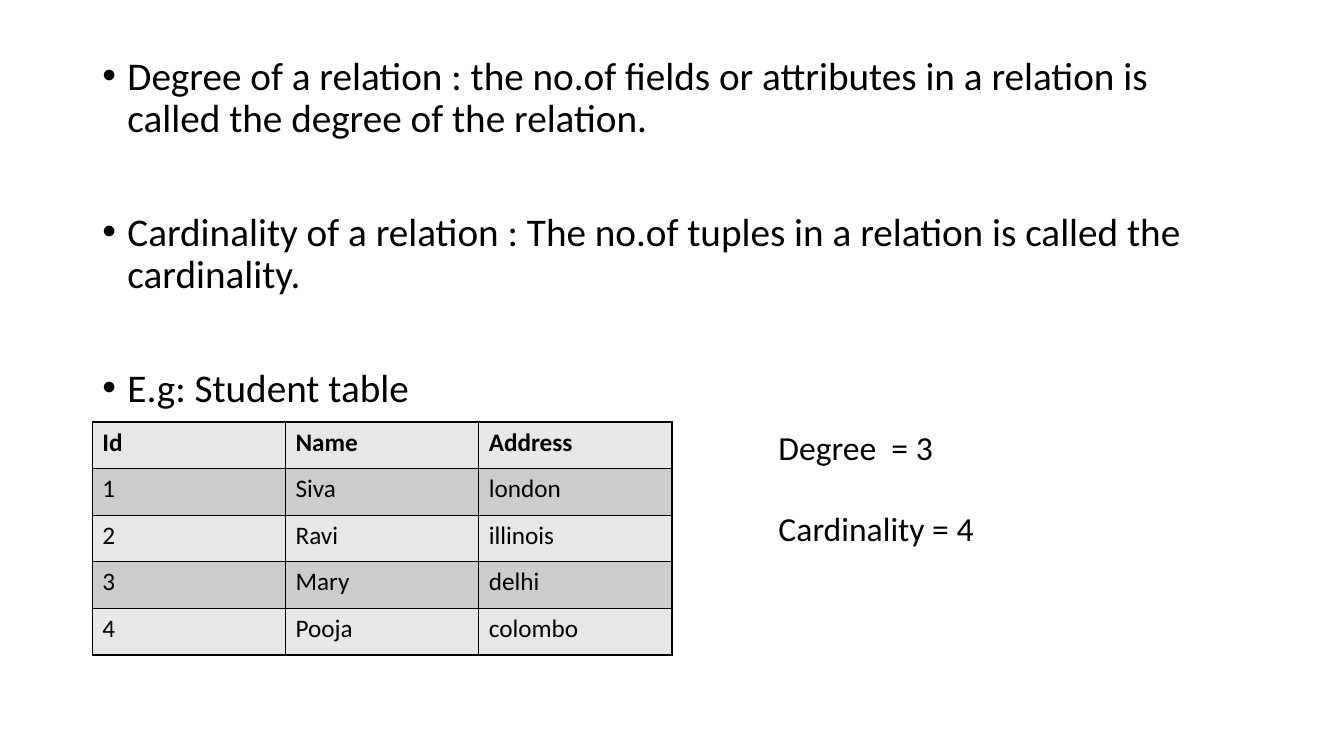
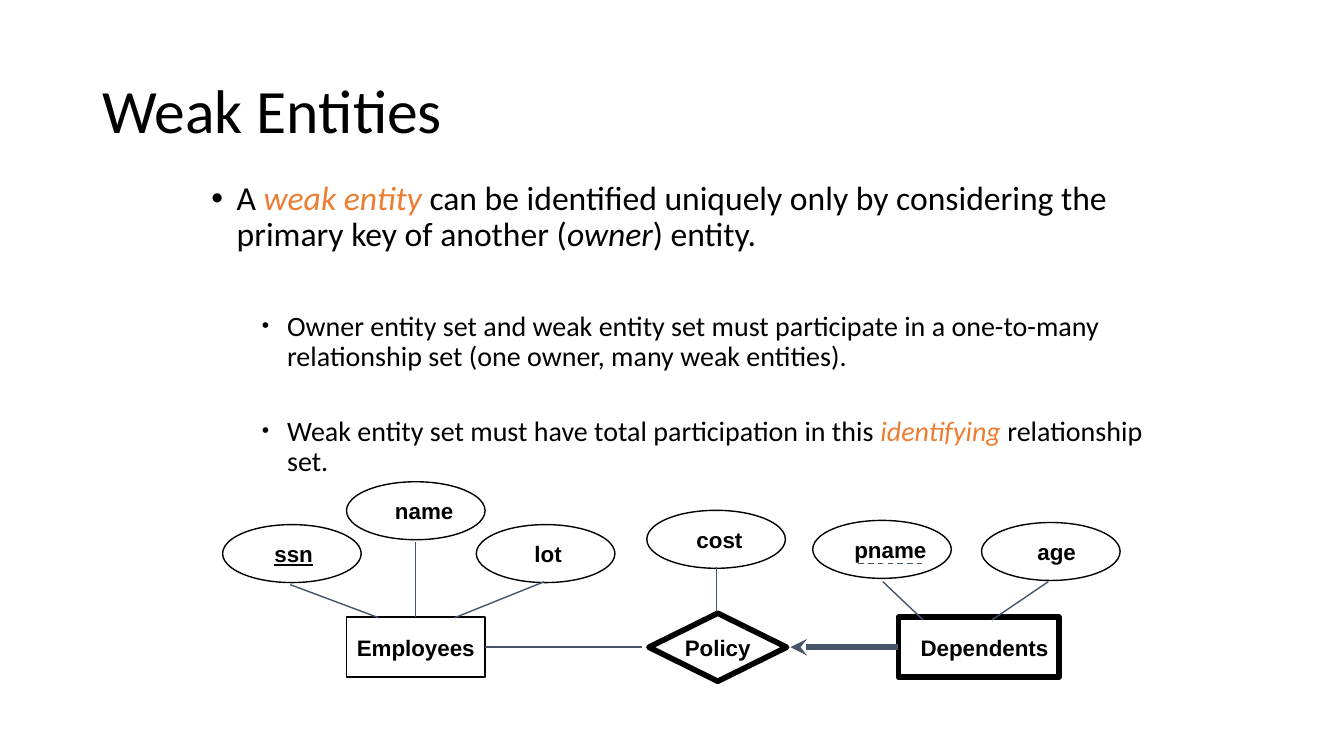
from lxml.etree import SubElement
from pptx import Presentation
from pptx.dml.color import RGBColor
from pptx.enum.dml import MSO_LINE
from pptx.enum.shapes import MSO_CONNECTOR, MSO_SHAPE
from pptx.enum.text import MSO_ANCHOR, PP_ALIGN
from pptx.oxml import parse_xml
from pptx.oxml.ns import nsdecls, qn
from pptx.util import Inches, Pt

COLORS = {
    "text": "000000",
    "accent": "ED7D31",
    "link": "44546A",
    "row_light": "E7E7E7",
    "row_dark": "CCCCCC",
}
BODY_FONT = "Calibri"
LABEL_FONT = "Arial"

# The slide is a grid of 160 columns by 90 rows.
COLUMNS, ROWS = 160, 90
MARGIN = 11
CONTENT_WIDTH = COLUMNS - 2 * MARGIN
TOP, LEFT, RIGHT = 0, 1, 3


def grid(*cells):
    """Turn grid counts into lengths."""
    return [round(Inches(1) * cell / 12) for cell in cells]


def rgb(name):
    return RGBColor.from_string(COLORS[name])


def add_run(paragraph, text, size, font=BODY_FONT, color="text",
            bold=False, italic=False, underline=False):
    run = paragraph.add_run()
    run.text = text
    run.font.name = font
    run.font.size = Pt(size)
    run.font.color.rgb = rgb(color)
    run.font.bold = bold
    run.font.italic = italic
    run.font.underline = underline


def add_bullet(paragraph, level):
    properties = paragraph._p.get_or_add_pPr()
    properties.set("marL", str(Inches(0.25 + 0.5 * level)))
    properties.set("indent", str(Inches(-0.25)))
    if level:
        SubElement(properties, qn("a:buSzPct"), val="75000")
    SubElement(properties, qn("a:buFont"), typeface="Arial")
    SubElement(properties, qn("a:buChar"), char="•")


def add_frame(slide, box):
    frame = slide.shapes.add_textbox(*grid(*box)).text_frame
    frame.word_wrap = True
    return frame


def add_paragraph(frame, runs, size, before=0, line=1.0):
    """Fill the first paragraph of a new frame, or append one."""
    paragraph = frame.paragraphs[0]
    if paragraph.runs:
        paragraph = frame.add_paragraph()
    paragraph.space_before = Pt(before)
    paragraph.line_spacing = line
    for text, style in runs:
        add_run(paragraph, text, size, **style)
    return paragraph


def add_title(slide, title):
    frame = add_frame(slide, (MARGIN, 4.8, CONTENT_WIDTH, 17.4))
    frame.vertical_anchor = MSO_ANCHOR.MIDDLE
    add_paragraph(frame, [(title, {})], 44, line=0.9)


def add_bullets(slide, box, items):
    """Each item is (level, size, space before, runs)."""
    frame = add_frame(slide, box)
    for level, size, before, runs in items:
        paragraph = add_paragraph(frame, runs, size, before, line=0.9)
        paragraph.level = level
        add_bullet(paragraph, level)


def add_cell_borders(cell):
    properties = cell._tc.get_or_add_tcPr()
    for position, side in enumerate(("lnL", "lnR", "lnT", "lnB")):
        properties.insert(position, parse_xml(
            f'<a:{side} {nsdecls("a")} w="{Pt(1)}"><a:solidFill>'
            f'<a:srgbClr val="{COLORS["text"]}"/></a:solidFill></a:{side}>'))


def add_records(slide, box, records):
    """Draw a table whose first record is the heading."""
    table = slide.shapes.add_table(
        len(records), len(records[0]), *grid(*box)).table
    for row, record in enumerate(records):
        for column, value in enumerate(record):
            cell = table.cell(row, column)
            cell.fill.solid()
            cell.fill.fore_color.rgb = rgb("row_dark" if row % 2 else "row_light")
            add_run(cell.text_frame.paragraphs[0], value, 18, bold=row == 0)
            add_cell_borders(cell)


def add_node(slide, kind, label, center, size, weight=1, shift=0, underline=False):
    """Draw an outlined diagram node; shift moves its label to the right."""
    (x, y), (width, height) = center, size
    node = slide.shapes.add_shape(
        kind, *grid(x - width / 2, y - height / 2, width, height))
    node.shadow.inherit = False
    node.fill.background()
    node.line.color.rgb = rgb("text")
    node.line.width = Pt(weight)
    frame = node.text_frame
    frame.word_wrap = False
    frame.vertical_anchor = MSO_ANCHOR.MIDDLE
    frame.margin_left, frame.margin_right = grid(2 * shift, 0)
    frame.margin_top = frame.margin_bottom = 0
    paragraph = frame.paragraphs[0]
    paragraph.alignment = PP_ALIGN.CENTER
    add_run(paragraph, label, 16, LABEL_FONT, bold=True, underline=underline)
    return node


def add_link(slide, start, end, weight=1):
    link = slide.shapes.add_connector(
        MSO_CONNECTOR.STRAIGHT, *grid(*start, *end))
    link.line.color.rgb = rgb("link")
    link.line.width = Pt(weight)
    SubElement(link._element.spPr, qn("a:effectLst"))
    return link


def build_degree_slide(slide):
    definitions = (
        "Degree of a relation : the no.of fields or attributes in a relation "
        "is called the degree of the relation.",
        "Cardinality of a relation : The no.of tuples in a relation is called "
        "the cardinality.",
        "E.g: Student table",
    )
    add_bullets(slide, (MARGIN, 6.1, CONTENT_WIDTH, 75), [
        (0, 28, 51 if index else 0, [(text, {})])
        for index, text in enumerate(definitions)])
    add_records(slide, (MARGIN, 50.25, CONTENT_WIDTH / 2, 27.75), [
        ("Id", "Name", "Address"),
        ("1", "Siva", "london"),
        ("2", "Ravi", "illinois"),
        ("3", "Mary", "delhi"),
        ("4", "Pooja", "colombo"),
    ])
    counts = add_frame(slide, (91.5, 50.25, 32.25, 15.75))
    add_paragraph(counts, [("Degree  = 3", {})], 24)
    add_paragraph(counts, [("Cardinality = 4", {})], 24, before=29)


def add_entity_diagram(slide):
    axis = 77.05
    attributes = (
        # label, center, label shift, key
        ("pname", (105, 65.4), 1, False),
        ("age", (125.1, 65.65), 0.7, False),
        ("ssn", (34.75, 65.9), 0.2, True),
        ("lot", (64.95, 65.9), 0.3, False),
        ("cost", (85.25, 64.2), 0.4, False),
        ("name", (49.5, 60.8), 1, False),
    )
    for label, center, shift, key in attributes:
        add_node(slide, MSO_SHAPE.OVAL, label, center, (16.5, 6.9),
                 shift=shift, underline=key)
    employees = add_node(slide, MSO_SHAPE.RECTANGLE, "Employees",
                         (49.5, axis), (16.5, 7.15))
    dependents = add_node(slide, MSO_SHAPE.RECTANGLE, "Dependents",
                          (116.5, axis), (19.1, 7.15), weight=4, shift=0.7)
    add_node(slide, MSO_SHAPE.DIAMOND, "Policy", (85.45, axis), (16.4, 8.1), weight=4)

    partial_key = add_link(slide, (109.8, 67.1), (101.9, 67.1))
    partial_key.line.dash_style = MSO_LINE.DASH

    attribute_links = (
        ((34.55, 69.6), (45.1, 73.55)),
        ((64.8, 69.25), (54.1, 73.55)),
        ((85.3, 67.45), (85.3, 72.85)),
        ((105.1, 69.25), (109.9, 73.8)),
        ((124.8, 69.25), (118.1, 73.8)),
    )
    for start, end in attribute_links:
        add_link(slide, start, end)

    name_link = add_link(slide, (49.5, 64.55), (49.5, 73.5))
    name_link.end_connect(employees, TOP)
    owner_link = add_link(slide, (76.45, axis), (57.75, axis))
    owner_link.end_connect(employees, RIGHT)
    weak_link = add_link(slide, (106.95, axis), (94.1, axis), weight=4)
    weak_link.begin_connect(dependents, LEFT)
    SubElement(weak_link.line._get_or_add_ln(), qn("a:tailEnd"), type="stealth")


def build_weak_entities_slide(slide):
    highlight = {"color": "accent", "italic": True}
    add_title(slide, "Weak Entities")
    add_bullets(slide, (24, 21, 115, 37), [
        (0, 24, 0, [
            ("A ", {}),
            ("weak entity ", highlight),
            ("can be identified uniquely only by considering the primary key "
             "of another (", {}),
            ("owner", {"italic": True}),
            (") entity.", {})]),
        (1, 20, 41.5, [
            ("Owner entity set and weak entity set must participate in a "
             "one-to-many relationship set (one owner, many weak entities).", {})]),
        (1, 20, 32, [
            ("Weak entity set must have total participation in this ", {}),
            ("identifying ", highlight),
            ("relationship set.", {})]),
    ])
    add_entity_diagram(slide)


def main():
    deck = Presentation()
    deck.slide_width, deck.slide_height = grid(COLUMNS, ROWS)
    blank = deck.slide_layouts[6]
    for build in (build_degree_slide, build_weak_entities_slide):
        build(deck.slides.add_slide(blank))
    deck.save("out.pptx")


if __name__ == "__main__":
    main()
